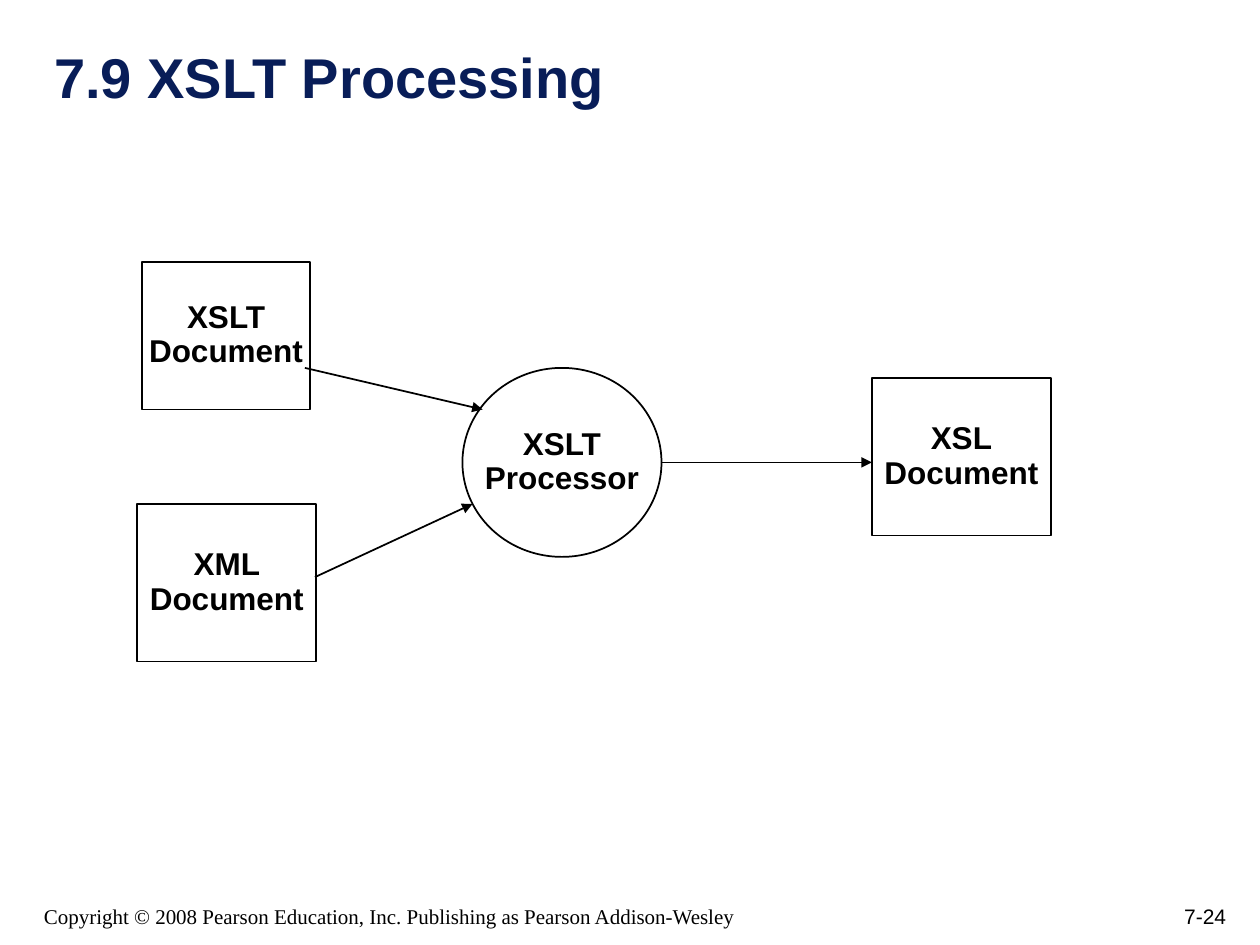
"""Build the XSLT processing diagram slide."""
from lxml import etree
from pptx import Presentation
from pptx import util as u
from pptx.dml.color import RGBColor
from pptx.enum import shapes, text
from pptx.oxml import ns

BLACK, NAVY = "000000", "081D58"
TITLE = "7.9 XSLT Processing"
COPYRIGHT = "Copyright © 2008 Pearson Education, Inc. Publishing as Pearson Addison-Wesley"
PAGE = "7-24"
RECTANGLE, OVAL = shapes.MSO_SHAPE.RECTANGLE, shapes.MSO_SHAPE.OVAL
LEFT, CENTER, RIGHT = text.PP_ALIGN.LEFT, text.PP_ALIGN.CENTER, text.PP_ALIGN.RIGHT
NODES = [
    (RECTANGLE, (1.13, 2.08, 1.33, 1.17), ["XSLT", "Document"]),
    (RECTANGLE, (1.09, 4, 1.42, 1.25), ["XML", "Document"]),
    (OVAL, (3.67, 2.92, 1.58, 1.5), ["XSLT", "Processor"]),
    (RECTANGLE, (6.92, 3, 1.42, 1.25), ["XSL", "Document"]),
]
ARROWS = [
    ((2.42, 2.92), (3.83, 3.25)),
    ((2.5, 4.58), (3.75, 4)),
    ((5.25, 3.67), (6.92, 3.67)),
]
FOOTERS = [
    (PAGE, (7.75, 6.92, 2.08, 0.5), "Arial", RIGHT),
    (COPYRIGHT, (0.25, 7, 6.08, 0.42), "Times New Roman", LEFT),
]


def inches(values):
    return [u.Inches(value) for value in values]


def color(target, value):
    target.rgb = RGBColor.from_string(value)


def outline(line):
    color(line.color, BLACK)
    line.width = u.Pt(1)


def write(shape, lines, size, align, anchor, font="Arial", bold=False,
          fill=BLACK, spacing=1.0, wrap=True):
    frame = shape.text_frame
    frame.text = "\n".join(lines)
    frame.auto_size = text.MSO_AUTO_SIZE.NONE
    frame.word_wrap = wrap
    frame.vertical_anchor = anchor
    for paragraph in frame.paragraphs:
        paragraph.alignment = align
        paragraph.line_spacing = spacing
        paragraph.font.name = font
        paragraph.font.size = u.Pt(size)
        paragraph.font.bold = bold
        color(paragraph.font.color, fill)


def add_node(slide, kind, box, lines):
    shape = slide.shapes.add_shape(kind, *inches(box))
    shape.shadow.inherit = False
    shape.fill.background()
    outline(shape.line)
    write(shape, lines, 18, CENTER, text.MSO_ANCHOR.MIDDLE,
          bold=True, spacing=0.9, wrap=False)


def add_arrow(slide, start, end):
    arrow = slide.shapes.add_connector(
        shapes.MSO_CONNECTOR.STRAIGHT, *inches(start + end))
    outline(arrow.line)
    etree.SubElement(arrow.line._get_or_add_ln(), ns.qn("a:tailEnd"), type="triangle")
    etree.SubElement(arrow._element.spPr, ns.qn("a:effectLst"))


def main():
    presentation = Presentation()
    presentation.slide_width, presentation.slide_height = inches((10, 7.5))
    slide = presentation.slides.add_slide(presentation.slide_layouts[5])
    bottom = text.MSO_ANCHOR.BOTTOM

    title = slide.shapes.title
    title.left, title.top, title.width, title.height = inches((0.33, 0.33, 9.42, 0.59))
    write(title, [TITLE], 32, LEFT, bottom, bold=True, fill=NAVY)
    for words, box, font, align in FOOTERS:
        write(slide.shapes.add_textbox(*inches(box)), [words], 12, align, bottom, font)
    for node in NODES:
        add_node(slide, *node)
    for start, end in ARROWS:
        add_arrow(slide, start, end)

    presentation.save("out.pptx")


if __name__ == "__main__":
    main()
